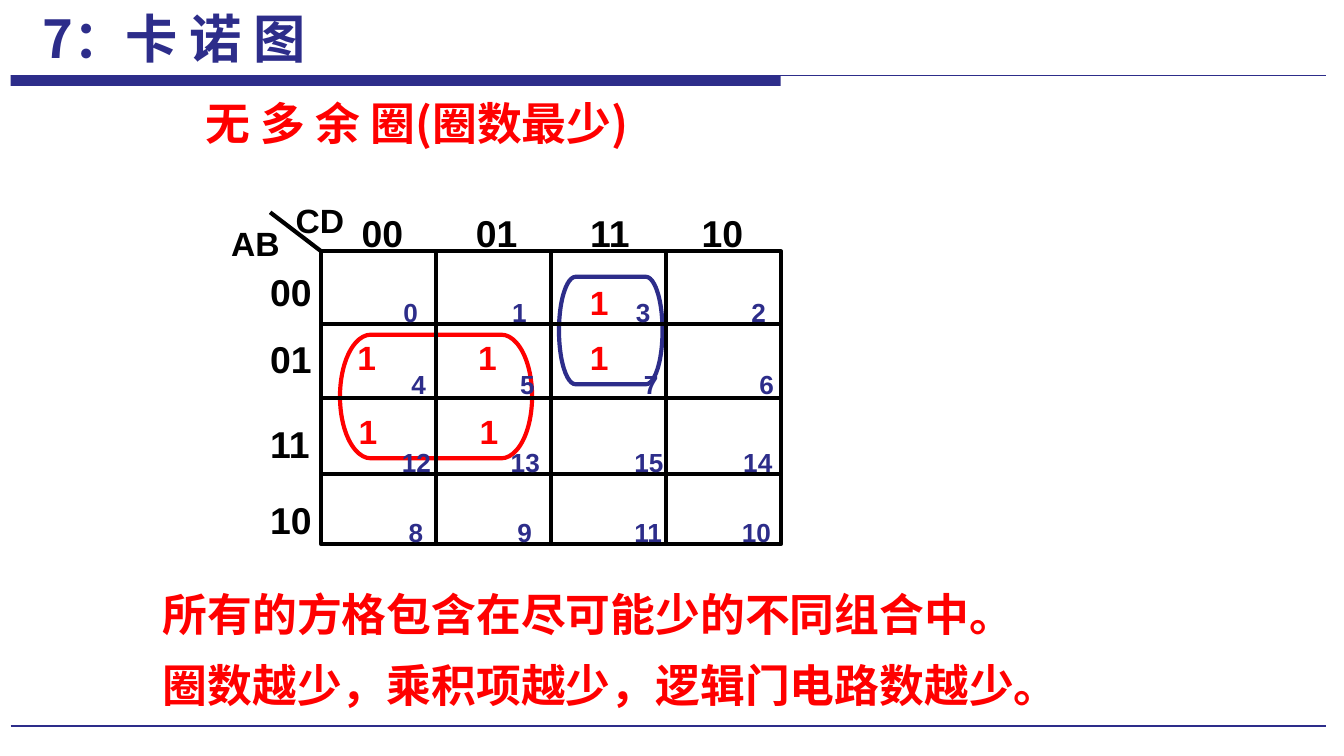
from pptx import Presentation
from pptx import util as u
from pptx.dml.color import RGBColor
from pptx.enum import shapes, text
from pptx.oxml.ns import qn
from lxml import etree

THEME = {
    "blue": "2D2D8A", "red": "FF0000", "black": "000000",
    "cjk": "Noto Sans CJK SC", "latin": "Arial",
    "title": 28, "body": 24, "code": 20, "mark": 18, "cell": 14,
    "line": 2.25,
}

TITLE = "7：卡 诺 图"
HEADING = "无 多 余 圈(圈数最少)"
NOTES = ["所有的方格包含在尽可能少的不同组合中。",
         "圈数越少，乘积项越少，逻辑门电路数越少。"]
COLUMNS = ["00", "01", "11", "10"]
COLUMN_TABS = [0.3, 1.15, 2.0, 2.83]
ROWS = [("00", 2.0), ("01", 2.5), ("11", 3.13), ("10", 3.7)]
AXES = [("CD", 2.11, 1.48), ("AB", 1.63, 1.65)]
CELLS = [
    (["0", "1", "3", "2"], 2.87, 2.19, [0.04, 0.85, 1.77, 2.63]),
    (["4", "5", "7", "6"], 2.93, 2.73, [0.04, 0.85, 1.77, 2.63]),
    (["12", "13", "15", "14"], 2.86, 3.31, [0.04, 0.85, 1.77, 2.58]),
    (["8", "9", "11", "10"], 2.91, 3.83, [0.04, 0.85, 1.72, 2.52]),
]
LOOPS = [((2.53, 2.49, 1.43, 0.92), "red"), ((4.16, 2.06, 0.77, 0.8), "blue")]
PAIRS = [(2.42, 2.49), (2.43, 3.04)]
PAIR_TABS = [0.14, 1.04]
MAP_X, MAP_Y, MAP_W, MAP_H = 2.39, 1.87, 3.42, 2.18
ROW_LINES = [2.41, 2.96, 3.53]

prs = Presentation()
prs.slide_width = u.Inches(10)
prs.slide_height = prs.slide_width * 9 // 16
s = prs.slides.add_slide(prs.slide_layouts[5])


def color(name):
    return RGBColor.from_string(THEME[name])


def inches(*values):
    return [u.Inches(v) for v in values]


def write(sp, lines, size, fill, face="latin", inset=(0.09, 0.04), gap=0,
          spacing=0.9, tabs=()):
    tf = sp.text_frame
    tf.word_wrap = True
    tf.vertical_anchor = text.MSO_ANCHOR.TOP
    tf.margin_left = tf.margin_right = u.Inches(inset[0])
    tf.margin_top = tf.margin_bottom = u.Inches(inset[1])
    for i, line in enumerate(lines):
        p = tf.paragraphs[0] if i == 0 else tf.add_paragraph()
        if tabs:
            stops = etree.SubElement(p._p.get_or_add_pPr(), qn("a:tabLst"))
            for pos in tabs:
                etree.SubElement(stops, qn("a:tab"), pos=str(u.Inches(pos)), algn="l")
        p.alignment = text.PP_ALIGN.LEFT
        p.line_spacing = spacing
        p.space_before = u.Pt(gap if i else 0)
        r = p.add_run()
        r.text = line
        r.font.size, r.font.bold = u.Pt(THEME[size]), True
        r.font.name = THEME[face]
        r.font.color.rgb = color(fill)
        etree.SubElement(r._r.get_or_add_rPr(), qn("a:ea"), typeface=THEME[face])
    return tf


def label(box, lines, size, fill, **options):
    return write(s.shapes.add_textbox(*inches(*box)), lines, size, fill, **options)


def tabbed(items):
    return ["".join("\t" + item for item in items)]


def line(x1, y1, x2, y2, fill="black", width=THEME["line"]):
    c = s.shapes.add_connector(shapes.MSO_CONNECTOR.STRAIGHT, *inches(x1, y1, x2, y2))
    c.line.color.rgb, c.line.width = color(fill), u.Pt(width)
    etree.SubElement(c._element.spPr, qn("a:effectLst"))
    return c


def outline(kind, box, fill):
    sp = s.shapes.add_shape(kind, *inches(*box))
    sp.shadow.inherit = False
    sp.fill.background()
    sp.line.color.rgb, sp.line.width = color(fill), u.Pt(THEME["line"])
    return sp


title = s.shapes.title
title.left, title.top, title.width, title.height = inches(0.17, 0, 2.25, 0.57)
tf = write(title, [TITLE], "title", "blue", face="cjk", inset=(0, 0.05), spacing=1.0)
tf.word_wrap = False
tf.auto_size = text.MSO_AUTO_SIZE.NONE
tf.paragraphs[0].alignment = text.PP_ALIGN.CENTER

bar = s.shapes.add_shape(shapes.MSO_SHAPE.RECTANGLE, *inches(0.08, 0.56, 5.73, 0.08))
bar.shadow.inherit = False
bar.fill.solid()
bar.fill.fore_color.rgb = color("blue")
bar.line.fill.background()
line(0.08, 0.56, 9.87, 0.56, "blue", 0.75)
line(0.08, 5.4, 9.87, 5.4, "blue", 1.25)

label((1.44, 0.72, 5.1, 0.45), [HEADING], "body", "red", face="cjk")

for box, fill in LOOPS:
    outline(shapes.MSO_SHAPE.FLOWCHART_TERMINATOR, box, fill)
for x, y in PAIRS:
    label((x, y, 1.67, 0.37), tabbed("11"), "mark", "red",
          inset=(0.1, 0.05), tabs=PAIR_TABS)
label((4.29, 2.08, 1.33, 0.8), ["1", "1"], "mark", "red", inset=(0.1, 0.05), gap=10)

label((2.3, 1.56, 3.51, 0.39), tabbed(COLUMNS), "code", "black", tabs=COLUMN_TABS)
frame = outline(shapes.MSO_SHAPE.RECTANGLE, (MAP_X, MAP_Y, MAP_W, MAP_H), "black")
across = [line(MAP_X, y, MAP_X + MAP_W, y) for y in ROW_LINES]
down = []
for i in range(1, len(COLUMNS)):
    x = MAP_X + i * MAP_W / len(COLUMNS)
    down.append(line(x, MAP_Y, x, MAP_Y + MAP_H))
for middle, begin, end in ((across[1], 1, 3), (down[1], 0, 2)):
    middle.begin_connect(frame, begin)
    middle.end_connect(frame, end)
line(MAP_X, MAP_Y, 2.01, 1.58)

for code, y in ROWS:
    label((1.92, y, 0.66, 0.39), [code], "code", "black")
for name, x, y in AXES:
    label((x, y, 0.86, 0.36), [name], "mark", "black")
for numbers, x, y, tabs in CELLS:
    label((x, y, 3.25, 0.3), tabbed(numbers), "cell", "blue", tabs=tabs)

label((1.12, 4.37, 8.42, 1.02), NOTES, "body", "red", face="cjk", gap=12)

prs.save("out.pptx")
